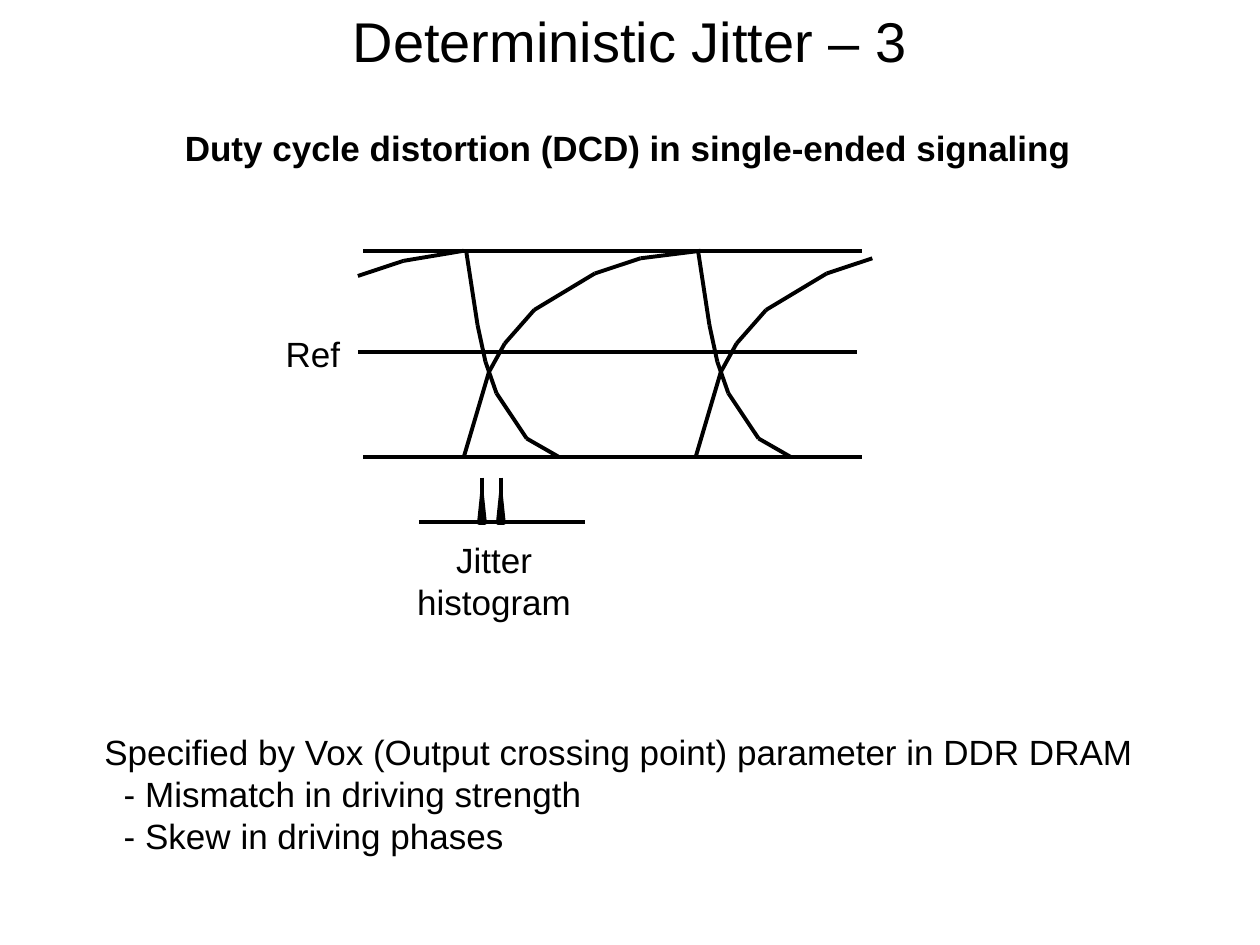
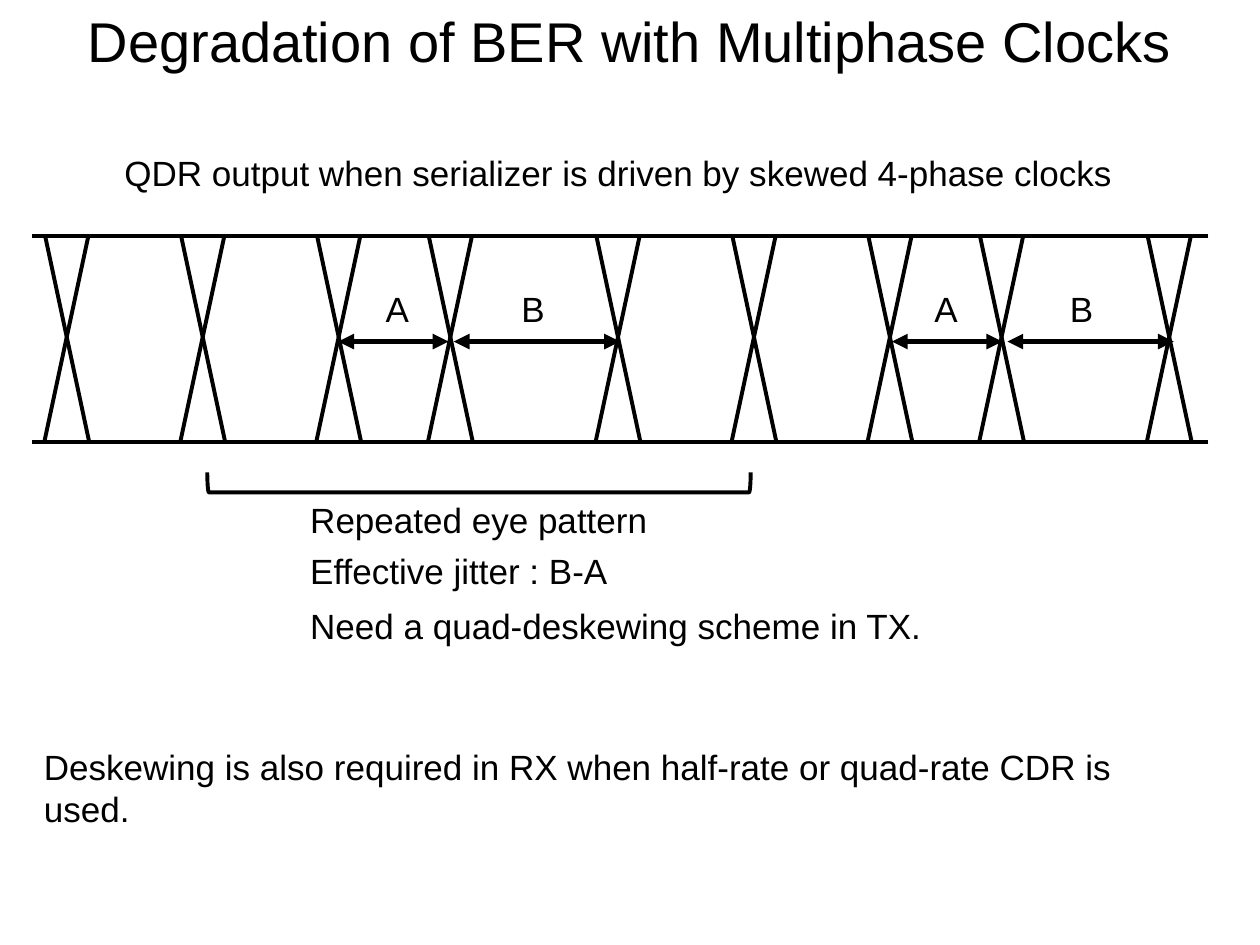
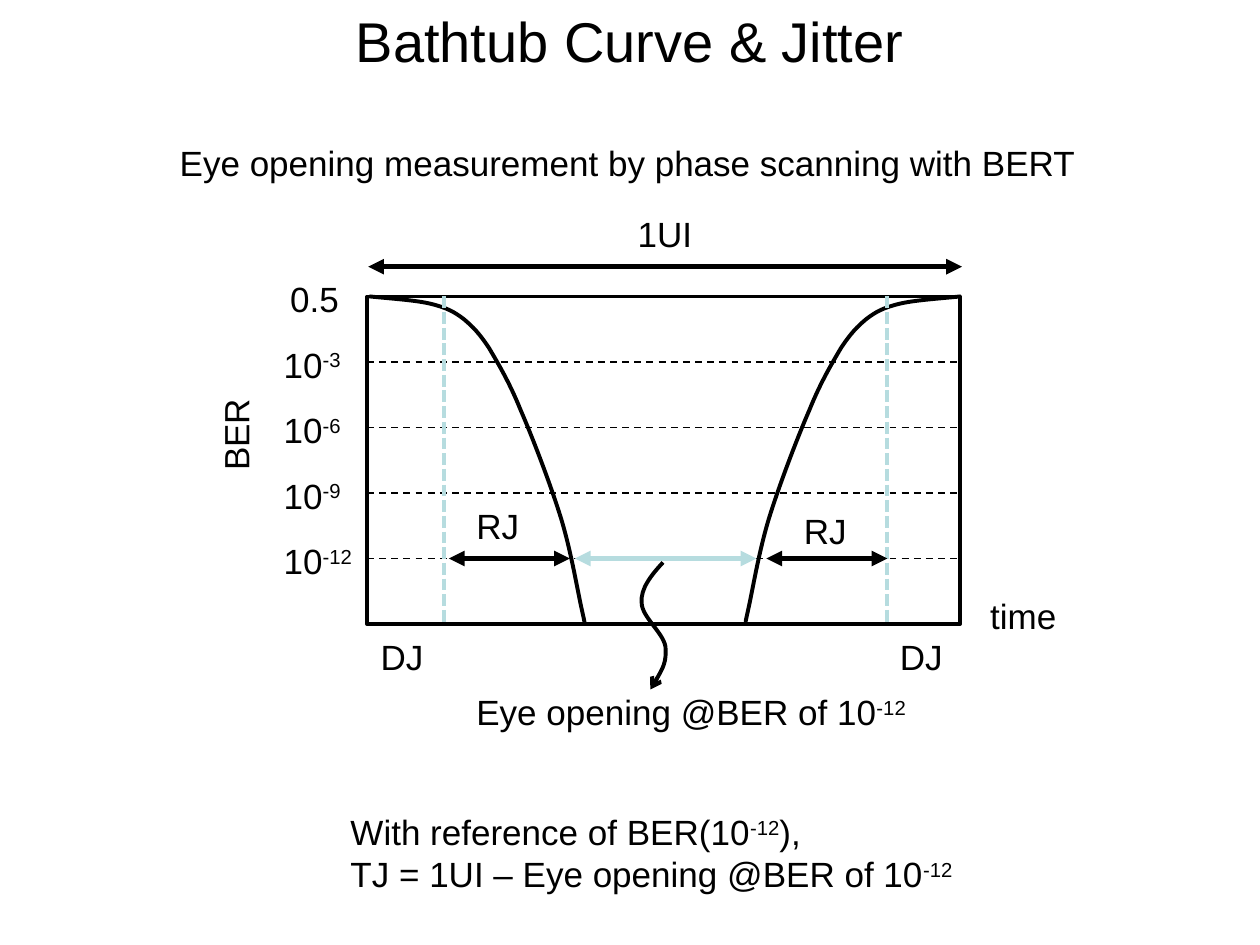
from lxml import etree
from pptx import Presentation
from pptx.dml.color import RGBColor
from pptx.enum.dml import MSO_LINE
from pptx.enum.shapes import MSO_CONNECTOR, MSO_SHAPE
from pptx.enum.text import MSO_ANCHOR, MSO_AUTO_SIZE, PP_ALIGN
from pptx.oxml.ns import qn
from pptx.util import Pt

FONT = "Arial"
COLORS = {"ink": "000000", "accent": "B6DCDF"}
STRAIGHT = MSO_CONNECTOR.STRAIGHT
RECT, TRIANGLE, BRACKET = MSO_SHAPE.RECTANGLE, MSO_SHAPE.ISOSCELES_TRIANGLE, MSO_SHAPE.LEFT_BRACKET
DASH, SHORT_DASH = MSO_LINE.DASH, MSO_LINE.SQUARE_DOT
LEFT, CENTER = PP_ALIGN.LEFT, PP_ALIGN.CENTER
TOP, NO_FIT = MSO_ANCHOR.TOP, MSO_AUTO_SIZE.NONE
TITLE_ONLY = 5
BODY_SIZE, TITLE_SIZE, STROKE, ARROW_STROKE = 20, 32, 2.25, 3
SUB_INDENT = 11.1
W, H = 720, 540


def rgb(name):
    return RGBColor.from_string(COLORS[name])


def pts(*values):
    return [Pt(v) for v in values]


def add_runs(p, text, size=BODY_SIZE, bold=False):
    """Add text to a paragraph; parts between ^ marks are superscript."""
    for i, part in enumerate(text.split("^")):
        if not part:
            continue
        r = p.add_run()
        r.text = part
        r.font.name, r.font.size, r.font.bold = FONT, Pt(size), bold
        r.font.color.rgb = rgb("ink")
        if i % 2:
            r._r.get_or_add_rPr().set("baseline", "30000")


def add_text(s, box, *lines, align=LEFT, bold=False, wrap=True, sublines=()):
    sp = s.shapes.add_textbox(*pts(*box))
    tf = sp.text_frame
    tf.word_wrap = wrap
    for i, line in enumerate((*lines, *sublines)):
        p = tf.add_paragraph() if i else tf.paragraphs[0]
        p.alignment = align
        if i >= len(lines):
            p._p.get_or_add_pPr().set("marL", str(Pt(SUB_INDENT)))
        add_runs(p, line, bold=bold)
    return sp


def style_line(line, color="ink", width=STROKE, dash=None, head=None, tail=None):
    line.color.rgb = rgb(color)
    line.width = Pt(width)
    if dash:
        line.dash_style = dash
    ln = line._get_or_add_ln()
    for tag, kind in (("a:headEnd", head), ("a:tailEnd", tail)):
        if kind:
            etree.SubElement(ln, qn(tag)).set("type", kind)


def add_line(s, x1, y1, x2, y2, **style):
    c = s.shapes.add_connector(STRAIGHT, *pts(x1, y1, x2, y2))
    style_line(c.line, **style)
    etree.SubElement(c._element.spPr, qn("a:effectLst"))


def add_arrow(s, x1, x2, y, color="ink"):
    add_line(s, x1, y, x2, y, color=color, width=ARROW_STROKE, head="triangle", tail="triangle")


def add_chain(s, x, y, points):
    """Join points, given relative to (x, y), with straight lines."""
    for (x1, y1), (x2, y2) in zip(points, points[1:]):
        add_line(s, x + x1, y + y1, x + x2, y + y2)


def add_outline(s, kind, box, width=STROKE):
    sp = s.shapes.add_shape(kind, *pts(*box))
    sp.shadow.inherit = False
    sp.fill.background()
    style_line(sp.line, width=width)
    return sp


def add_curve(s, x, y, points, **style):
    """Draw cubic Bezier pieces (start, then three points each) relative to (x, y)."""
    start, *rest = [pts(x + px, y + py) for px, py in points]
    builder = s.shapes.build_freeform(*start)
    builder.add_line_segments(rest, close=False)
    sp = builder.convert_to_shape()
    steps = list(sp._element.iter(qn("a:lnTo")))
    for first, second, third in zip(steps[::3], steps[1::3], steps[2::3]):
        bezier = etree.Element(qn("a:cubicBezTo"))
        first.addprevious(bezier)
        for step in (first, second, third):
            bezier.append(step[0])
            step.getparent().remove(step)
    sp.shadow.inherit = False
    sp.fill.background()
    style_line(sp.line, **style)


def add_titled_slide(prs, title):
    s = prs.slides.add_slide(prs.slide_layouts[TITLE_ONLY])
    sp = s.shapes.title
    sp.left, sp.top, sp.width, sp.height = pts(0, 0, W, 46)
    tf = sp.text_frame
    tf.auto_size, tf.vertical_anchor, tf.word_wrap = NO_FIT, TOP, True
    p = tf.paragraphs[0]
    p.alignment = CENTER
    add_runs(p, title, TITLE_SIZE)
    return s


FALLING_EDGE = [(0, 0), (6.5, 42.5), (11, 63.4), (17.3, 81.4), (34.6, 107.3), (53.3, 118)]
RISING_EDGE = [(0, 118), (14.4, 69.3), (23.4, 53), (40.3, 33.8), (74.9, 13), (101, 4.3), (135.4, 0)]


def draw_distorted_eye(s, box):
    x, y, w, h = box
    for rail_y in (y, y + h):
        add_line(s, x + 3, rail_y, x + w + 3, rail_y)
    add_line(s, x, y + 57.6, x + w, y + 57.6)
    add_text(s, (x - 48.7, y + 43, 46, 32), "Ref", align=CENTER)
    add_chain(s, x, y, [(0, 14.4), (26, 5.8), (60.5, 0)])
    for cycle, rising in enumerate((RISING_EDGE, RISING_EDGE[:-1])):
        edge_x = x + 60.5 + 132.5 * cycle
        add_chain(s, edge_x + 1.4, y, FALLING_EDGE)
        add_chain(s, edge_x, y, rising)


def draw_jitter_histogram(s, box):
    x, y, w, h = box
    add_line(s, x, y + h, x + w, y + h)
    for peak in (x + 36, x + 46.8):
        add_line(s, peak, y, peak, y + 17.3)
        sp = add_outline(s, TRIANGLE, (peak - 1.8, y + 8.6, 3.6, 17.3), width=2)
        sp.fill.solid()
        sp.fill.fore_color.rgb = rgb("ink")
    add_text(s, (x - 26, y + h + 6, 138, 55), "Jitter histogram", align=CENTER)


def build_duty_cycle_slide(prs):
    s = add_titled_slide(prs, "Deterministic Jitter – 3")
    add_text(s, (98.5, 68.8, 525, 32), "Duty cycle distortion (DCD) in single-ended signaling",
             bold=True, wrap=False)
    draw_distorted_eye(s, (204.5, 143.3, 285, 118))
    draw_jitter_histogram(s, (239.4, 273, 95, 25.3))
    add_text(s, (52.5, 414, 621.5, 80),
             "Specified by Vox (Output crossing point) parameter in DDR DRAM",
             sublines=("- Mismatch in driving strength", "- Skew in driving phases"))


def draw_skewed_eyes(s, box):
    x, y, w, h = box
    period, edge_w = 315, 25.2
    rails = (y, y + h)
    phases = (7.8, 85.5, 163.2, 227)
    starts = [x + phase + period * cycle for cycle in (0, 1) for phase in phases]
    starts.append(x + phases[0] + 2 * period)
    for left in starts:
        add_line(s, left, y, left + edge_w, y + h)
        add_line(s, left + edge_w - 0.5, y, left - 0.5, y + h)
    for rail_y in rails:
        for left, following in zip(starts, starts[1:]):
            add_line(s, following, rail_y, left + edge_w, rail_y)
        add_line(s, x + w, rail_y, x, rail_y)
    for arrow_x, label_x in ((175.3, 195.3), (491.7, 508.8)):
        add_arrow(s, x + arrow_x, x + arrow_x + 63, y + 60.3)
        add_arrow(s, x + arrow_x + 66, x + arrow_x + 161, y + 60.3)
        for label, dx in (("A", 0), ("B", 77.5)):
            add_text(s, (x + label_x + dx, y + 25.7, 32, 32), label)


def build_multiphase_slide(prs):
    s = add_titled_slide(prs, "Degradation of BER with Multiphase Clocks")
    add_text(s, (64, 82.8, 587, 32),
             "QDR output when serializer is driven by skewed 4-phase clocks")
    draw_skewed_eyes(s, (18, 134.9, 672.5, 117.8))
    bracket = add_outline(s, BRACKET, (268, 120.4, 11.5, 310.5))
    bracket.rotation = 270
    notes = (("Repeated eye pattern", 281.5, 218), ("Effective jitter : B-A", 310.3, 322),
             ("Need a quad-deskewing scheme in TX.", 342, 371))
    for note, top, width in notes:
        add_text(s, (170.2, top, width, 32), note)
    add_text(s, (18, 422.6, 678, 32),
             "Deskewing is also required in RX when half-rate or quad-rate CDR is used.")


TUB_WALL = [(1.4, 0), (15.1, 1.4), (28.1, 2.2), (36.7, 4.3), (45.4, 6.5), (49.7, 8.6), (55.4, 13),
            (60.5, 17.3), (64.1, 20.9), (69.8, 29.5), (74.9, 38.2), (81.4, 49), (87.8, 64.8),
            (95, 81.4), (105.1, 108), (110.9, 126.7), (116.6, 145.4), (120.2, 167), (122.4, 177.1),
            (124.6, 187.2), (124.6, 186.5), (123.8, 185.8)]
CALLOUT = [(169.2, 152), (162.7, 159), (156.2, 167), (157, 175), (157, 183), (169.2, 192),
           (170.6, 200), (171.4, 209), (167, 216.7), (162, 224.6)]


def draw_bathtub(s, box):
    x, y, w, h = box
    row_h = h / 5
    add_outline(s, RECT, box, width=2)
    for row, label in enumerate(("0.5", "10^-3", "10^-6", "10^-9", "10^-12")):
        row_y = y + row * row_h
        add_text(s, (x - (54.7 if row else 51), row_y - 14.4, 60.5, 32), label)
        if row:
            add_line(s, x, row_y, x + w, row_y, width=1, dash=DASH)
    add_text(s, (x - 105, y + 60.5, 60.5, 32), "BER").rotation = 270
    add_curve(s, x, y, TUB_WALL)
    add_curve(s, x, y, [(w + 1.7 - px, py) for px, py in TUB_WALL])
    for limit in (x + 44, x + 297.4):
        add_line(s, limit, y, limit, y + h, color="accent", dash=SHORT_DASH)

    arrow_y = y + 4 * row_h
    add_arrow(s, x + 118.8, x + 222.5, arrow_y, color="accent")
    add_arrow(s, x + 46.8, x + 116, arrow_y)
    add_arrow(s, x + 228.2, x + 297.4, arrow_y)
    add_arrow(s, x + 0.7, x + w + 1, y - 17)
    add_curve(s, x, y, CALLOUT, tail="arrow")
    labels = (("1UI", 147.6, -51.4, 63.4), ("RJ", 55.4, 115.4, 43.2), ("RJ", 242.6, 118.2, 43.2),
              ("DJ", 0.7, 190, 43.2), ("DJ", 297.4, 190, 43.2), ("time", 349, 167, 63.4),
              ("Eye opening @BER of 10^-12", 55.4, 221.8, 284.4))
    for label, dx, dy, width in labels:
        add_text(s, (x + dx, y + dy, width, 32), label)


def build_bathtub_slide(prs):
    s = add_titled_slide(prs, "Bathtub Curve & Jitter")
    add_text(s, (95.6, 77.4, 584, 32), "Eye opening measurement by phase scanning with BERT")
    draw_bathtub(s, (209.7, 169.4, 339, 187.2))
    add_text(s, (193.2, 459.7, 379.5, 55.5), "With reference of BER(10^-12^),",
             "TJ = 1UI – Eye opening @BER of 10^-12")


def main():
    prs = Presentation()
    prs.slide_width, prs.slide_height = pts(W, H)
    build_duty_cycle_slide(prs)
    build_multiphase_slide(prs)
    build_bathtub_slide(prs)
    prs.save("out.pptx")


if __name__ == "__main__":
    main()
